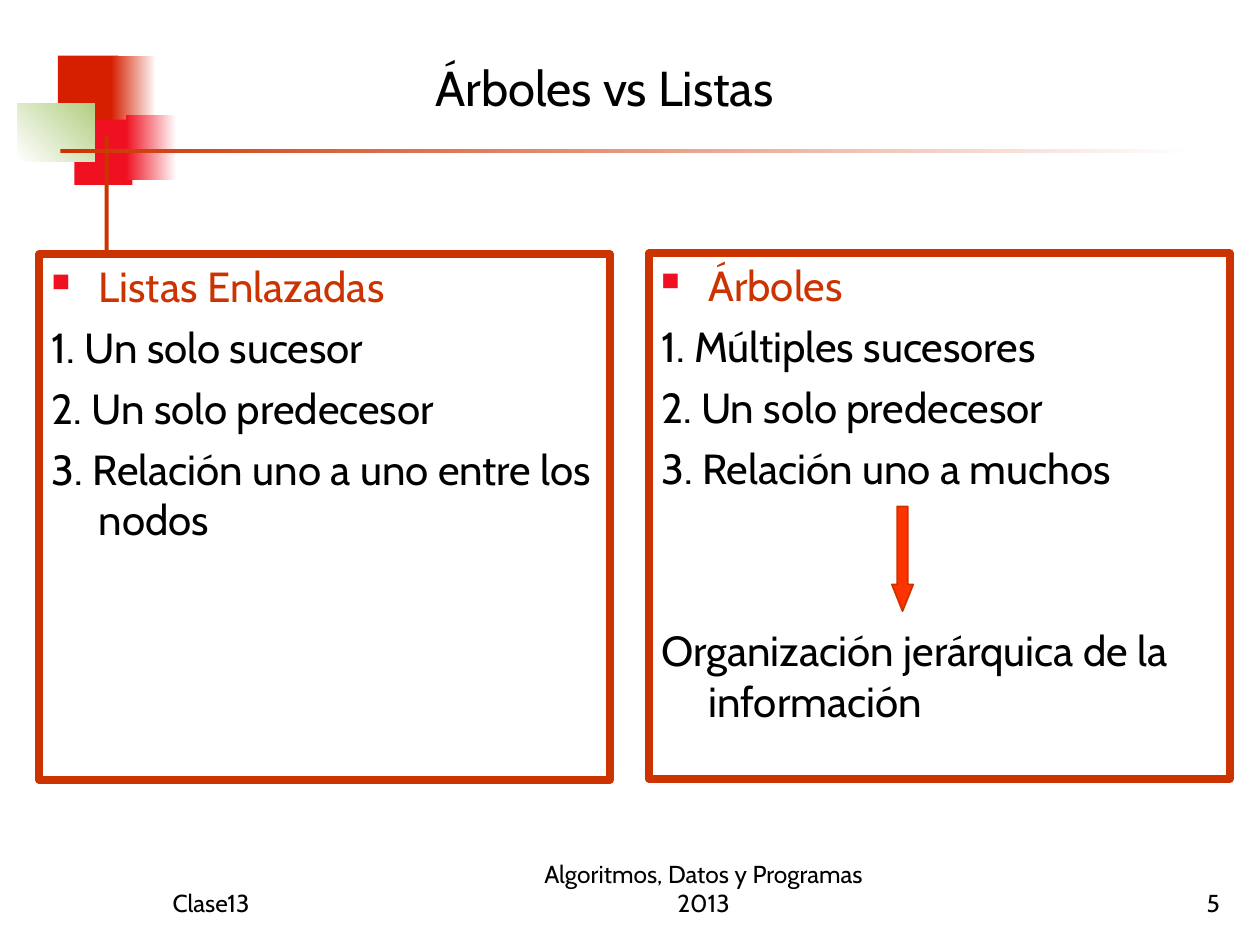
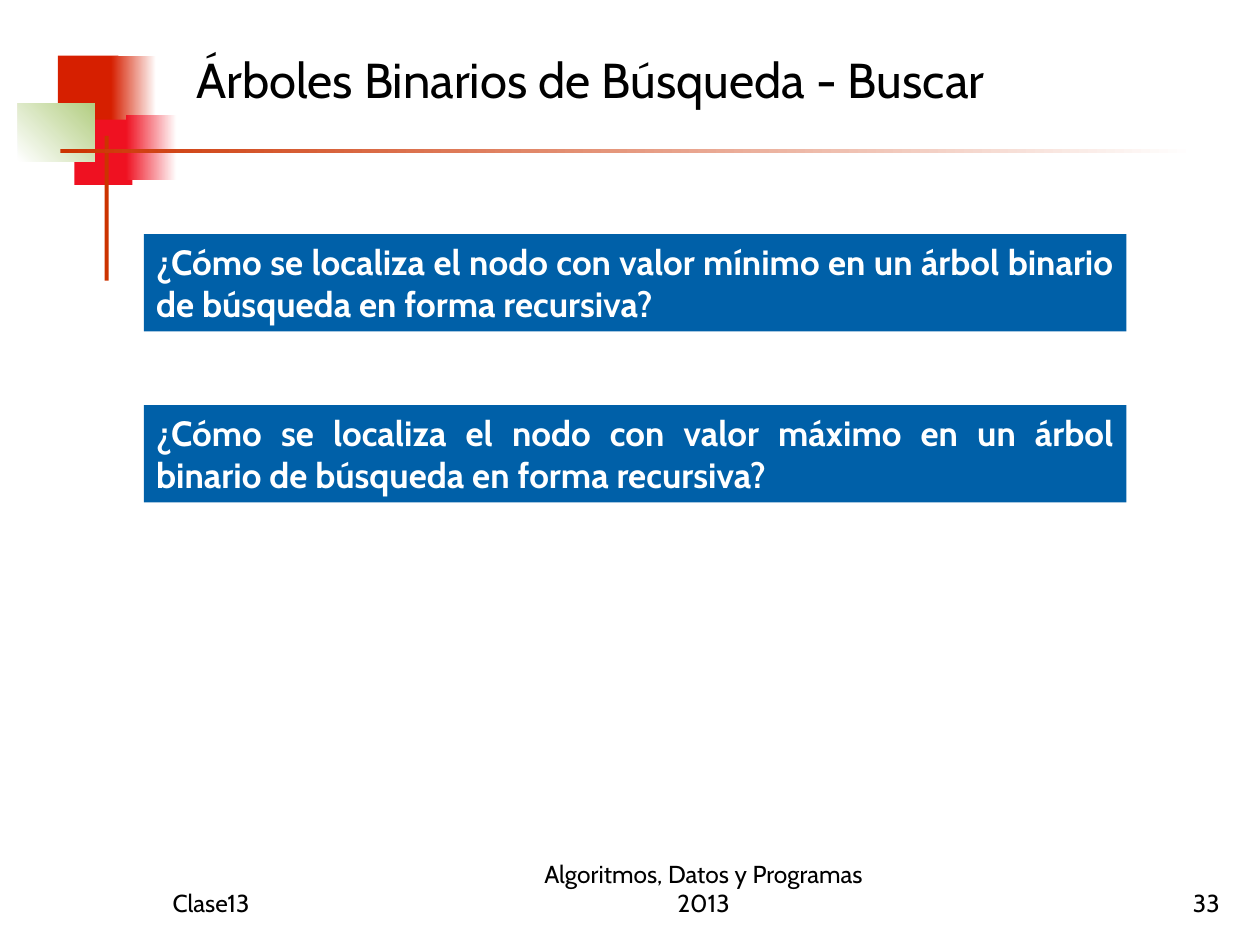
"""Build two slides on lists, trees and binary search trees."""
import pptx
import pptx.dml.color
import pptx.enum.shapes
import pptx.enum.text
import pptx.util
from lxml import etree
from pptx.oxml.ns import qn

Cm, Pt = pptx.util.Cm, pptx.util.Pt
ALIGN, ANCHOR = pptx.enum.text.PP_ALIGN, pptx.enum.text.MSO_ANCHOR
SHAPE = pptx.enum.shapes.MSO_SHAPE

FONT = "Cabin"
BLACK, WHITE, RUST, BRICK, RED = "000000", "FFFFFF", "CC3300", "D61F00", "EF1121"
GREEN, BLUE, ORANGE = "B3CE82", "0060A8", "FF3300"

DECORATION = [
    ((1.17, 1.12, 1.22, 1.32), [BRICK], 0),
    ((2.24, 1.12, 0.91, 1.32), [BRICK, WHITE], 0),
    ((1.5, 2.41, 1.17, 1.32), [RED], 0),
    ((2.54, 2.31, 1.02, 1.32), [RED, WHITE], 0),
    ((0.36, 2.08, 1.55, 1.17), [WHITE, GREEN], 45),
    ((2.11, 2.74, 0.08, 2.92), [RUST], 0),
    ((1.22, 3, 22.86, 0.08), [RUST, WHITE], 0),
]
FOOTER_TOP, FOOTER_HEIGHT = 17.35, 1.27
FOOTERS = [
    (3.23, 5.28, "Clase13", ALIGN.LEFT),
    (10.16, 8.05, "Algoritmos, Datos y Programas 2013", ALIGN.CENTER),
]
NUMBER_LEFT, NUMBER_WIDTH = 19.56, 5.28

COMPARISON = {
    "title": "Árboles vs Listas",
    "title_at": (4.45, 0.58, 15.47, 2.34),
    "align": ALIGN.CENTER,
    "number": 5,
}
PANELS = [
    ((0.79, 5.13, 11.51, 10.59), "Listas Enlazadas",
     ["1. Un solo sucesor", "2. Un solo predecesor",
      "3. Relación uno a uno entre los nodos"], None),
    ((13.08, 5.11, 11.71, 10.59), "Árboles",
     ["1. Múltiples sucesores", "2. Un solo predecesor",
      "3. Relación uno a muchos"],
     "Organización jerárquica de la información"),
]
ARROW_AT = (17.98, 10.21, 0.43, 2.11)
ITEM_GAP, CONCLUSION_GAP = 6, 75.5

SEARCH = {
    "title": "Árboles Binarios de Búsqueda - Buscar",
    "title_at": (3.71, 0.33, 20.6, 2.54),
    "align": ALIGN.LEFT,
    "number": 33,
}
QUESTIONS = [
    "¿Cómo se localiza el nodo con valor mínimo en un árbol binario "
    "de búsqueda en forma recursiva?",
    "¿Cómo se localiza el nodo con valor máximo en un árbol binario "
    "de búsqueda en forma recursiva?",
]
QUESTION_AT, QUESTION_STEP = (2.9, 4.72, 19.81, 1.96), 3.45


def rgb(color):
    """Return a hex string as a colour."""
    return pptx.dml.color.RGBColor.from_string(color)


def add_box(slide, at, colors, angle=0, line=None, kind=SHAPE.RECTANGLE):
    """Add a shape with a solid or gradient fill and an optional (colour, width) line."""
    sp = slide.shapes.add_shape(kind, *map(Cm, at))
    sp.shadow.inherit = False
    if len(colors) == 1:
        sp.fill.solid()
        sp.fill.fore_color.rgb = rgb(colors[0])
    else:
        sp.fill.gradient()
        sp.fill.gradient_angle = angle
        for stop, color in zip(sp.fill.gradient_stops, colors):
            stop.color.rgb = rgb(color)
    if line:
        sp.line.color.rgb = rgb(line[0])
        sp.line.width = Pt(line[1])
    else:
        sp.line.fill.background()
    return sp


def style(p, size, color=BLACK, align=ALIGN.LEFT, bold=False):
    """Format a paragraph and its runs."""
    p.alignment = align
    for r in p.runs:
        r.font.name = FONT
        r.font.size = Pt(size)
        r.font.bold = bold
        r.font.color.rgb = rgb(color)


def add_text(slide, at, text, size, align, anchor):
    """Add a wrapped one-paragraph text box."""
    tf = slide.shapes.add_textbox(*map(Cm, at)).text_frame
    tf.word_wrap = True
    tf.vertical_anchor = anchor
    tf.text = text
    style(tf.paragraphs[0], size, align=align)


def add_bullet(p):
    """Give a paragraph a small red square bullet."""
    pPr = p._p.get_or_add_pPr()
    color = etree.SubElement(pPr, qn("a:buClr"))
    etree.SubElement(color, qn("a:srgbClr"), val=RED)
    etree.SubElement(pPr, qn("a:buSzPct"), val="60000")
    etree.SubElement(pPr, qn("a:buChar"), char="■")


def add_panel(slide, at, heading, items, conclusion):
    """Add a framed panel with a bulleted heading, its items and a conclusion."""
    tf = add_box(slide, at, [WHITE], line=(RUST, 4.5)).text_frame
    tf.word_wrap = True
    tf.vertical_anchor = ANCHOR.TOP
    lines = [heading, *items] + ([conclusion] if conclusion else [])
    tf.text = "\n".join(lines)
    for i, p in enumerate(tf.paragraphs):
        pPr = p._p.get_or_add_pPr()
        pPr.set("marL", str(Cm(0.95)))
        pPr.set("indent", str(-Cm(0.95)))
        if i == 0:
            add_bullet(p)
        else:
            p.space_before = Pt(CONCLUSION_GAP if i > len(items) else ITEM_GAP)
        style(p, 24, BLACK if i else RUST)


def add_question(slide, at, text):
    """Add a blue band holding a justified question."""
    tf = add_box(slide, at, [BLUE]).text_frame
    tf.word_wrap = True
    tf.vertical_anchor = ANCHOR.TOP
    tf.text = text
    style(tf.paragraphs[0], 20, WHITE, ALIGN.JUSTIFY, bold=True)


def add_slide(prs, page):
    """Add a slide with the shared decoration, title and footers."""
    slide = prs.slides.add_slide(prs.slide_layouts[6])
    for at, colors, angle in DECORATION:
        add_box(slide, at, colors, angle)
    add_text(slide, page["title_at"], page["title"], 28, page["align"], ANCHOR.MIDDLE)
    number = (NUMBER_LEFT, NUMBER_WIDTH, str(page["number"]), ALIGN.RIGHT)
    for left, width, text, align in [*FOOTERS, number]:
        at = (left, FOOTER_TOP, width, FOOTER_HEIGHT)
        add_text(slide, at, text, 14, align, ANCHOR.BOTTOM)
    return slide


def main():
    """Build and save the presentation."""
    prs = pptx.Presentation()
    prs.slide_width, prs.slide_height = Cm(25.4), Cm(19.05)

    slide = add_slide(prs, COMPARISON)
    for panel in PANELS:
        add_panel(slide, *panel)
    arrow = add_box(slide, ARROW_AT, [ORANGE], line=(RUST, 1), kind=SHAPE.DOWN_ARROW)
    arrow.adjustments[0], arrow.adjustments[1] = 0.5, 1.25

    slide = add_slide(prs, SEARCH)
    left, top, width, height = QUESTION_AT
    for i, question in enumerate(QUESTIONS):
        add_question(slide, (left, top + i * QUESTION_STEP, width, height), question)

    prs.save("out.pptx")


if __name__ == "__main__":
    main()
